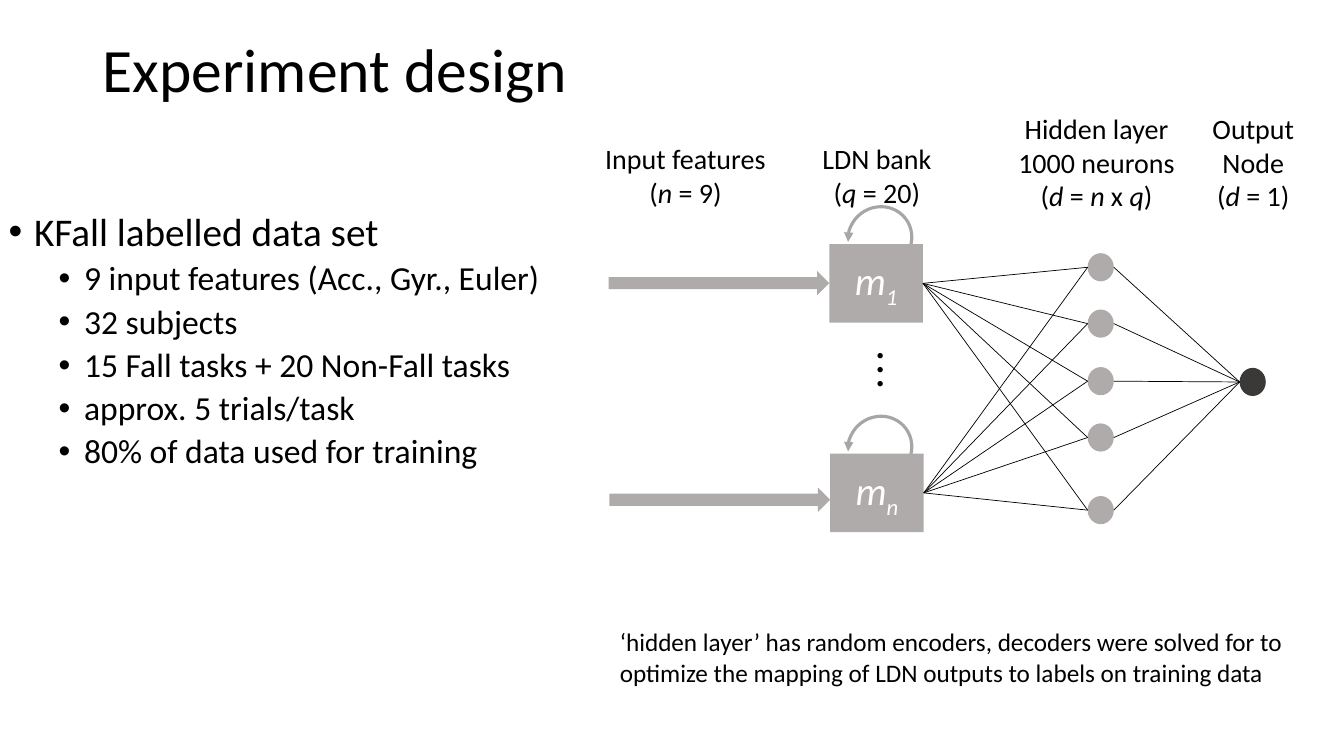
from dataclasses import dataclass

from lxml import etree
from pptx import Presentation
from pptx.dml.color import RGBColor
from pptx.enum.shapes import MSO_CONNECTOR, MSO_SHAPE
from pptx.enum.text import MSO_ANCHOR, PP_ALIGN
from pptx.oxml.ns import qn
from pptx.shapes.autoshape import Shape
from pptx.shapes.shapetree import GroupShapes
from pptx.text.text import TextFrame, _Paragraph
from pptx.util import Cm, Pt

RECTANGLE, ELLIPSE = MSO_SHAPE.RECTANGLE, MSO_SHAPE.OVAL
ARROW, ARC = MSO_SHAPE.RIGHT_ARROW, MSO_SHAPE.ARC
STRAIGHT = MSO_CONNECTOR.STRAIGHT
LEFT, CENTER = PP_ALIGN.LEFT, PP_ALIGN.CENTER
TOP, MIDDLE = MSO_ANCHOR.TOP, MSO_ANCHOR.MIDDLE
FONT = "Calibri"
COLORS = {"text": "000000", "node": "AFABAB", "loop": "A6A6A6",
          "output": "3B3838", "symbol": "FFFFFF"}


@dataclass(frozen=True)
class Box:
    left: float
    top: float
    width: float
    height: float

    def lengths(self) -> tuple[Cm, Cm, Cm, Cm]:
        return Cm(self.left), Cm(self.top), Cm(self.width), Cm(self.height)

    @property
    def right(self) -> float:
        return self.left + self.width

    @property
    def middle(self) -> float:
        return self.top + self.height / 2


@dataclass(frozen=True)
class Words:
    text: str
    italic: bool = False
    subscript: bool = False


@dataclass(frozen=True)
class Label:
    box: Box
    lines: list[list[Words]]


@dataclass(frozen=True)
class Memory:
    index: str
    box: Box
    arrow_top: float


@dataclass(frozen=True)
class Bullet:
    text: str
    size: int
    indent: float
    space_before: int


def math_symbol(text: str) -> Words:
    return Words(text, italic=True)


LABELS = [
    Label(Box(14.94, 3.45, 4.67, 1.78),
          [[Words("Input features")],
           [Words("("), math_symbol("n"), Words(" = 9)")]]),
    Label(Box(20.12, 3.45, 3.96, 1.78),
          [[Words("LDN bank")],
           [Words("("), math_symbol("q"), Words(" = 20)")]]),
    Label(Box(24.64, 2.69, 5.99, 2.54),
          [[Words("Hidden layer")], [Words("1000 neurons")],
           [Words("("), math_symbol("d"), Words(" = "), math_symbol("n"),
            Words(" x "), math_symbol("q"), Words(")")]]),
    Label(Box(29.97, 2.69, 3.23, 2.54),
          [[Words("Output")], [Words("Node")],
           [Words("("), math_symbol("d"), Words(" = 1)")]]),
]
MEMORIES = [Memory("1", Box(20.9, 6.15, 2.36, 1.98), 6.83),
            Memory("n", Box(20.92, 11.43, 2.36, 1.98), 12.29)]
NEURONS = [Box(27.41, top, 0.66, 0.71) for top in (6.38, 7.8, 9.25, 10.67, 12.5)]
OUTPUT_NODE = Box(31.24, 9.27, 0.66, 0.71)
BULLETS = [Bullet("KFall labelled data set", 28, 0.64, 10)] + [
    Bullet(text, 24, 1.9, 5) for text in (
        "9 input features (Acc., Gyr., Euler)", "32 subjects",
        "15 Fall tasks + 20 Non-Fall tasks", "approx. 5 trials/task",
        "80% of data used for training")]


def color(name: str) -> RGBColor:
    return RGBColor.from_string(COLORS[name])


def add_words(paragraph: _Paragraph, words: Words, size: int, tint: str = "text") -> None:
    run = paragraph.add_run()
    run.text = words.text
    run.font.name = FONT
    run.font.size = Pt(size)
    run.font.italic = words.italic
    run.font.color.rgb = color(tint)
    if words.subscript:
        run._r.get_or_add_rPr().set("baseline", "-25000")


def add_text(shapes: GroupShapes, box: Box, lines: list[list[Words]], size: int,
             alignment: PP_ALIGN = LEFT, anchor: MSO_ANCHOR = TOP) -> TextFrame:
    frame = shapes.add_textbox(*box.lengths()).text_frame
    frame.word_wrap = True
    frame.vertical_anchor = anchor
    for number, line in enumerate(lines):
        paragraph = frame.add_paragraph() if number else frame.paragraphs[0]
        paragraph.alignment = alignment
        for words in line:
            add_words(paragraph, words, size)
    return frame


def add_filled(shapes: GroupShapes, kind: MSO_SHAPE, box: Box, fill: str = "node") -> Shape:
    shape = shapes.add_shape(kind, *box.lengths())
    shape.shadow.inherit = False
    shape.fill.solid()
    shape.fill.fore_color.rgb = color(fill)
    shape.line.fill.background()
    return shape


def add_loop(shapes: GroupShapes, memory: Memory) -> None:
    box = Box(21.39, memory.box.top - 0.96, 1.57, 1.63)
    arc = shapes.add_shape(ARC, *box.lengths())
    arc.shadow.inherit = False
    arc.adjustments[0], arc.adjustments[1] = 72.31, 0
    arc.rotation = 53
    arc.fill.background()
    arc.line.color.rgb = color("loop")
    arc.line.width = Pt(2.25)
    etree.SubElement(arc.line._get_or_add_ln(), qn("a:headEnd"), type="triangle")


def add_link(shapes: GroupShapes, start: Box, end: Box) -> None:
    link = shapes.add_connector(STRAIGHT, Cm(start.right), Cm(start.middle),
                                Cm(end.left), Cm(end.middle))
    link.line.color.rgb = color("text")
    link.line.width = Pt(0.5)
    etree.SubElement(link._element.spPr, qn("a:effectLst"))


def format_bullet(paragraph: _Paragraph, bullet: Bullet) -> None:
    paragraph.line_spacing = 0.9
    paragraph.space_before = Pt(bullet.space_before)
    properties = paragraph._p.get_or_add_pPr()
    properties.set("marL", str(Cm(bullet.indent)))
    properties.set("indent", str(-Cm(0.64)))
    etree.SubElement(properties, qn("a:buFont"), typeface="Arial")
    etree.SubElement(properties, qn("a:buChar"), char="•")


def add_network(shapes: GroupShapes) -> None:
    # Memories with their loops and input arrows
    for memory in MEMORIES:
        add_loop(shapes, memory)
        square = add_filled(shapes, RECTANGLE, memory.box)
        square.text_frame.vertical_anchor = MIDDLE
        paragraph = square.text_frame.paragraphs[0]
        paragraph.alignment = CENTER
        for words in (math_symbol("m"), Words(memory.index, True, True)):
            add_words(paragraph, words, 28, "symbol")
        add_filled(shapes, ARROW,
                   Box(memory.box.left - 5.56, memory.arrow_top, 5.56, 0.61))
    dots = add_text(shapes, Box(21.79, 8.79, 0.76, 1.4), [[Words("...")]], 32)
    dots.paragraphs[0].line_spacing = Pt(10)

    # Neurons, output node and their links
    add_filled(shapes, ELLIPSE, OUTPUT_NODE, "output")
    for neuron in NEURONS:
        add_filled(shapes, ELLIPSE, neuron)
        add_link(shapes, neuron, OUTPUT_NODE)
        for memory in MEMORIES:
            add_link(shapes, memory.box, neuron)

    # Column labels
    for label in LABELS:
        add_text(shapes, label.box, label.lines, 20, CENTER)


def main() -> None:
    presentation = Presentation()
    presentation.slide_width, presentation.slide_height = Cm(33.87), Cm(19.05)
    slide = presentation.slides.add_slide(presentation.slide_layouts[6])

    # Title and bullet list
    title = add_text(slide.shapes, Box(2.34, 0, 29.21, 3.68),
                     [[Words("Experiment design")]], 44, anchor=MIDDLE)
    title.paragraphs[0].line_spacing = 0.9
    body = slide.shapes.add_textbox(*Box(-0.03, 5.23, 14.94, 12.45).lengths()).text_frame
    body.word_wrap = True
    for number, bullet in enumerate(BULLETS):
        paragraph = body.add_paragraph() if number else body.paragraphs[0]
        format_bullet(paragraph, bullet)
        add_words(paragraph, Words(bullet.text), bullet.size)

    # Network diagram and caption
    add_network(slide.shapes.add_group_shape().shapes)
    caption = ("‘hidden layer’ has random encoders, decoders were solved for to "
               "optimize the mapping of LDN outputs to labels on training data")
    add_text(slide.shapes, Box(15.37, 15.67, 17.3, 1.8), [[Words(caption)]], 18)
    presentation.save("out.pptx")


if __name__ == "__main__":
    main()
